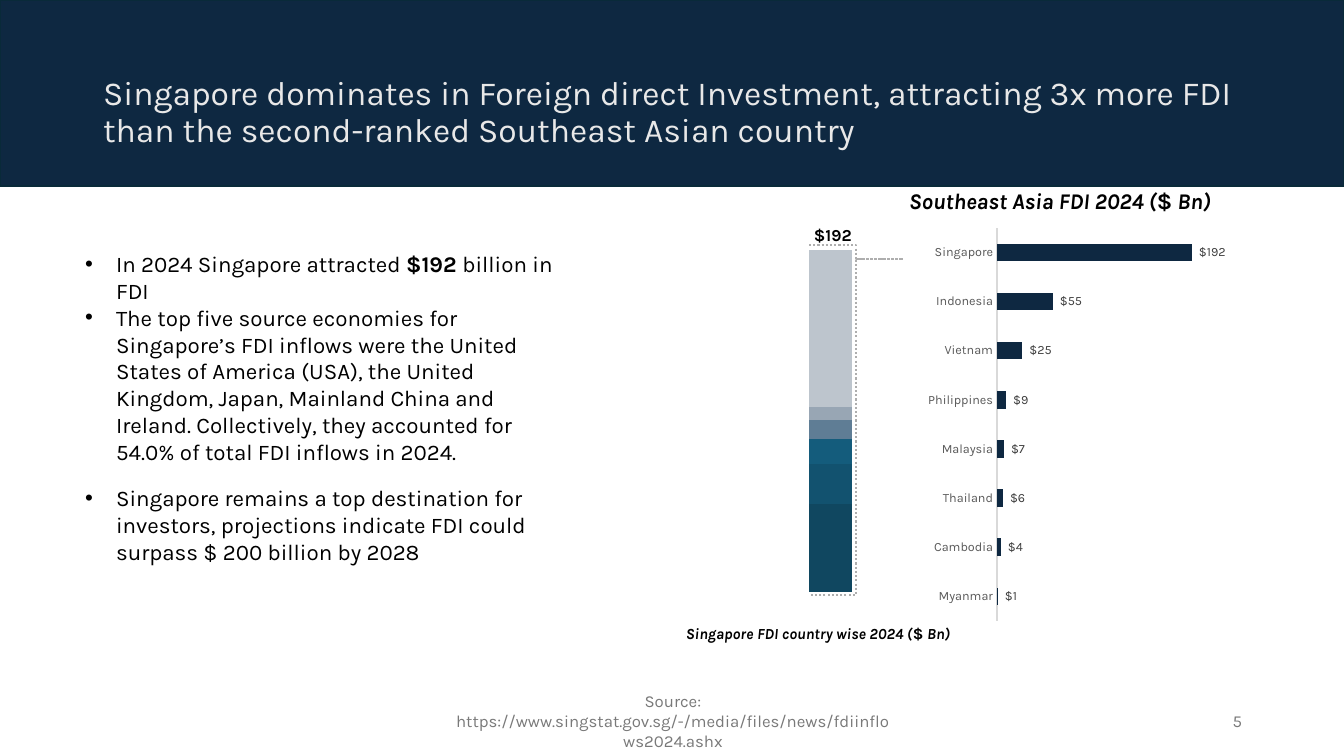
"""Build a slide on foreign direct investment in Singapore and Southeast Asia."""
import dataclasses

import pptx
import pptx.chart.data
import pptx.dml.color
import pptx.enum.chart
import pptx.enum.dml
import pptx.enum.shapes
import pptx.enum.text
import pptx.oxml
import pptx.oxml.ns
import pptx.util

TITLE = ("Singapore dominates in Foreign direct Investment, attracting 3x more FDI "
         "than the second-ranked Southeast Asian country")
BULLETS = [
    (["In 2024 Singapore attracted ", "$192 ", "billion in FDI"], 0),
    (["The top five source economies for Singapore’s FDI inflows were the United States of "
      "America (USA), the United Kingdom, Japan, Mainland China and Ireland. Collectively, "
      "they accounted for 54.0% of total FDI inflows in 2024."], 0),
    (["Singapore remains a top destination for investors, projections indicate FDI could "
      "surpass $ 200 billion by 2028"], 14),
]
SOURCE = "Source: https://www.singstat.gov.sg/-/media/files/news/fdiinflows2024.ashx"
PAGE = "5"
REGION_TITLE = ["Southeast Asia FDI 2024 (", "$", " Bn)"]
ORIGIN_TITLE = ["Singapore FDI country wise 2024 (", "$", " Bn)"]
ORIGIN_TOTAL = "$192"
REGION_FDI = {"Singapore": 192, "Indonesia": 55, "Vietnam": 25, "Philippines": 9,
              "Malaysia": 7, "Thailand": 6, "Cambodia": 4, "Myanmar": 1}
ORIGIN_FDI = [(56, "104760"), (25, "12526F"), (16, "145C7C"),
              (12, "5F7D95"), (8, "98A6B4"), (100, "BDC5CD")]
AXIS_MAX = 250
DOLLARS = '_-"$"#,##0_ '


@dataclasses.dataclass(frozen=True)
class Theme:
    font: str = "Karla"
    navy: str = "0E2841"
    band_line: str = "092A39"
    title: str = "E8E8E8"
    text: str = "000000"
    footer: str = "797979"
    category: str = "595959"
    value: str = "404040"
    axis: str = "D9D9D9"
    brace: str = "AEAEAE"
    title_pt: int = 24
    body_pt: int = 16
    footer_pt: int = 12
    total_pt: int = 12
    caption_pt: int = 11
    chart_pt: int = 10
    label_pt: int = 9


T = Theme()
ALIGN = pptx.enum.text.PP_ALIGN
ANCHOR = pptx.enum.text.MSO_ANCHOR
SHAPE = pptx.enum.shapes.MSO_SHAPE
CHART = pptx.enum.chart.XL_CHART_TYPE


def px(n):
    return round(n * 914400 / 100.8)


def box(*lengths):
    return [px(n) for n in lengths]


def rgb(value):
    return pptx.dml.color.RGBColor.from_string(value)


def style(font, size, color, bold=None):
    font.name, font.size, font.bold = T.font, pptx.util.Pt(size), bold
    font.color.rgb = rgb(color)


def place(sp, *lengths):
    sp.left, sp.top, sp.width, sp.height = box(*lengths)


def add_text(slide, lengths, runs, size, color, align=ALIGN.LEFT, anchor=ANCHOR.TOP, bold=None):
    tf = slide.shapes.add_textbox(*box(*lengths)).text_frame
    tf.word_wrap, tf.vertical_anchor = True, anchor
    p = tf.paragraphs[0]
    p.alignment = align
    style(p.font, size, color, bold)
    for text in runs:
        r = p.add_run()
        r.text = text
        if len(runs) > 1:
            r.font.italic = text != "$"


def add_shape(slide, kind, lengths, line, width):
    sp = slide.shapes.add_shape(kind, *box(*lengths))
    sp.shadow.inherit = False
    sp.line.color.rgb = rgb(line)
    sp.line.width = pptx.util.Pt(width)
    return sp


def add_chart(slide, kind, lengths, plot_area, categories, series, gap):
    """Add a chart whose inner plot area is given in px on the slide."""
    data = pptx.chart.data.CategoryChartData(number_format=DOLLARS)
    data.categories = categories
    for i, (values, color) in enumerate(series, 1):
        data.add_series(f"Series {i}", values)
    chart = slide.shapes.add_chart(kind, *box(*lengths), data).chart
    chart.has_legend = chart.has_title = False
    style(chart.font, T.chart_pt, T.text)
    axis = chart.value_axis
    axis.minimum_scale, axis.maximum_scale = 0, AXIS_MAX
    axis.has_major_gridlines = axis.visible = False
    plot = chart.plots[0]
    plot.gap_width, plot.vary_by_categories = gap, False
    for s, (values, color) in zip(plot.series, series):
        s.format.fill.solid()
        s.format.fill.fore_color.rgb = rgb(color)

    left, top, width, height = lengths
    x, y, w, h = plot_area
    parts = {"x": (x - left) / width, "y": (y - top) / height, "w": w / width, "h": h / height}
    xml = "".join(f'<c:{name}Mode val="edge"/>' for name in "xy")
    xml += "".join(f'<c:{name} val="{value:.4f}"/>' for name, value in parts.items())
    area = chart.element.find(".//" + pptx.oxml.ns.qn("c:plotArea"))
    for old in area.findall(pptx.oxml.ns.qn("c:layout")):
        area.remove(old)
    area.insert(0, pptx.oxml.parse_xml(
        f'<c:layout {pptx.oxml.ns.nsdecls("c")}><c:manualLayout>'
        f'<c:layoutTarget val="inner"/>{xml}</c:manualLayout></c:layout>'))
    return chart


def add_region_chart(slide):
    chart = add_chart(slide, CHART.BAR_CLUSTERED, (922, 220, 336, 409), (997, 228, 254, 393),
                      list(REGION_FDI), [(list(REGION_FDI.values()), T.navy)], 182)
    axis = chart.category_axis
    axis.reverse_order = True
    axis.major_tick_mark = axis.minor_tick_mark = pptx.enum.chart.XL_TICK_MARK.NONE
    axis.format.line.color.rgb = rgb(T.axis)
    axis.format.line.width = pptx.util.Pt(0.75)
    style(axis.tick_labels.font, T.label_pt, T.category)
    plot = chart.plots[0]
    plot.has_data_labels = True
    labels = plot.data_labels
    labels.show_value = True
    labels.number_format, labels.number_format_is_linked = DOLLARS, False
    labels.position = pptx.enum.chart.XL_LABEL_POSITION.OUTSIDE_END
    style(labels.font, T.label_pt, T.value)


def add_origin_chart(slide):
    chart = add_chart(slide, CHART.COLUMN_STACKED, (759, 137, 143, 464), (762, 198, 137, 394),
                      ["1"], [([value], color) for value, color in ORIGIN_FDI], 219)
    chart.plots[0].overlap = 100
    chart.category_axis.visible = False


def fill_title(title):
    place(title, 93, 40, 1159, 146)
    tf = title.text_frame
    tf.text = TITLE
    tf.auto_size = pptx.enum.text.MSO_AUTO_SIZE.NONE
    tf.vertical_anchor = ANCHOR.MIDDLE
    p = tf.paragraphs[0]
    p.alignment, p.line_spacing = ALIGN.LEFT, 0.9
    style(p.font, T.title_pt, T.title)


def fill_body(body):
    place(body, 75, 245, 508, 330)
    tf = body.text_frame
    tf.auto_size = pptx.enum.text.MSO_AUTO_SIZE.NONE
    for i, (runs, gap) in enumerate(BULLETS):
        p = tf.add_paragraph() if i else tf.paragraphs[0]
        pPr = p._p.get_or_add_pPr()
        pPr.set("marL", str(px(31)))
        pPr.set("indent", str(-px(31)))
        p.space_before = pptx.util.Pt(gap)
        style(p.font, T.body_pt, T.text)
        for text in runs:
            r = p.add_run()
            r.text = text
            if text.startswith("$"):
                r.font.bold = True


def main():
    prs = pptx.Presentation()
    prs.slide_width, prs.slide_height = box(1344, 756)
    slide = prs.slides.add_slide(prs.slide_layouts[1])
    band = add_shape(slide, SHAPE.RECTANGLE, (0, 0, 1344, 186), T.band_line, 1.5)
    band.fill.solid()
    band.fill.fore_color.rgb = rgb(T.navy)
    slide.shapes._spTree.insert(2, band._element)
    fill_title(slide.shapes.title)
    fill_body(slide.placeholders[1])
    add_text(slide, (446, 701, 454, 40), [SOURCE], T.footer_pt, T.footer, ALIGN.CENTER, ANCHOR.MIDDLE)
    add_text(slide, (950, 701, 302, 40), [PAGE], T.footer_pt, T.footer, ALIGN.RIGHT, ANCHOR.MIDDLE)
    add_region_chart(slide)
    add_text(slide, (899, 182, 336, 37), REGION_TITLE, T.body_pt, T.text, bold=True)
    add_origin_chart(slide)
    add_text(slide, (804, 220, 79, 30), [ORIGIN_TOTAL], T.total_pt, T.text, bold=True)
    add_text(slide, (676, 619, 336, 29), ORIGIN_TITLE, T.caption_pt, T.text, bold=True)
    brace = add_shape(slide, SHAPE.RIGHT_BRACE, (809, 245, 94, 350), T.brace, 1.5)
    brace.adjustments[0], brace.adjustments[1] = 0, 0.039
    brace.fill.background()
    brace.line.dash_style = pptx.enum.dml.MSO_LINE.ROUND_DOT
    prs.save("out.pptx")


if __name__ == "__main__":
    main()
